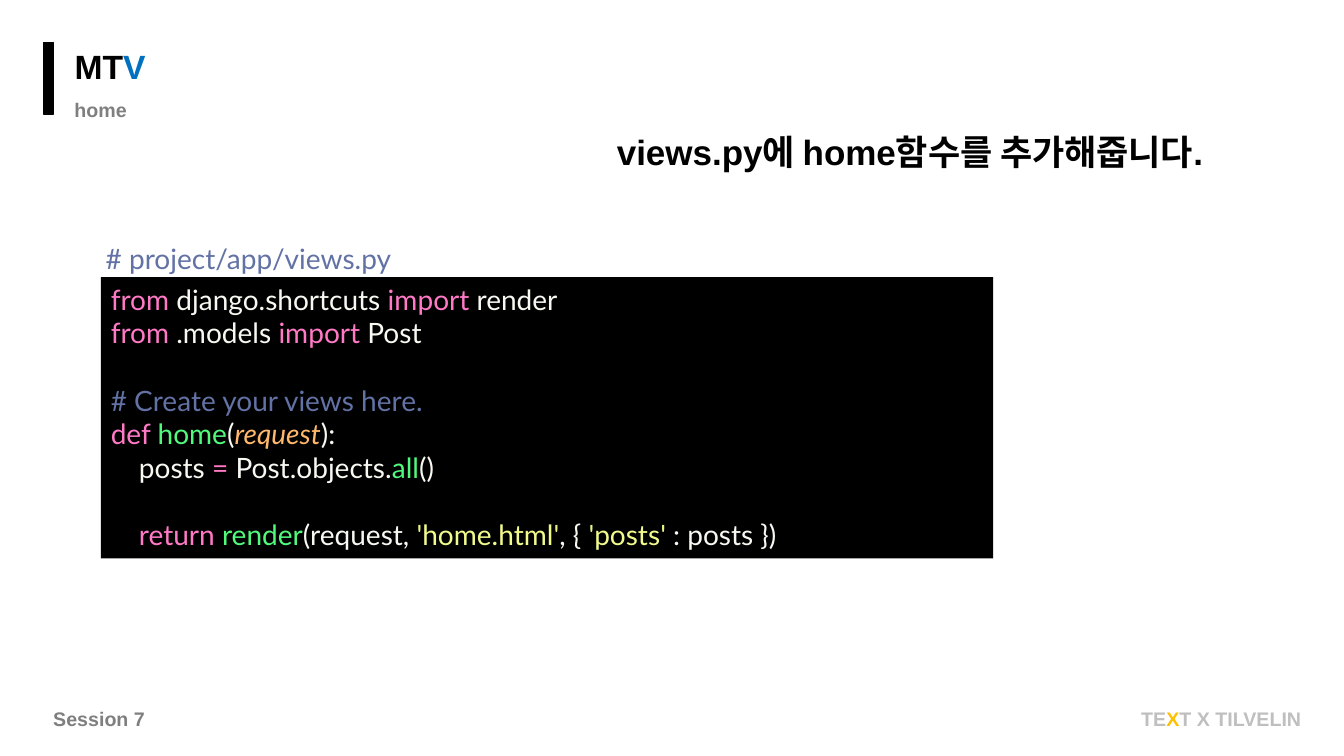
from pptx import Presentation
from pptx.dml.color import RGBColor
from pptx.enum.shapes import MSO_SHAPE
from pptx.enum.text import MSO_ANCHOR, MSO_AUTO_SIZE, PP_ALIGN
from pptx.util import Inches, Pt

COLORS = {
    "black": "000000", "blue": "0070C0", "gray": "7F7F7F", "silver": "BFBFBF",
    "gold": "FFC000", "keyword": "FF79C6", "plain": "F8F8F2", "comment": "6272A4",
    "function": "50FA7B", "argument": "FFB86C", "quote": "E9F284", "string": "F1FA8C",
}

TITLE = [("MT", "black"), ("V", "blue")]
LABELS = [
    ((0.64, 0.92, 1.43, 0.34), 14, "Arial", [("home", "gray")]),
    ((0.43, 6.96, 1.14, 0.34), 14, "Arial", [("Session 7", "gray")]),
    ((11.22, 6.96, 1.88, 0.34), 14, "Arial",
     [("TE", "silver"), ("X", "gold"), ("T X TILVELIN", "silver")]),
    ((0.95, 2.35, 4.18, 0.44), 20, "Lato", [("# project/app/views.py", "comment")]),
    ((6.02, 1.25, 7.32, 0.52), 25, "Arial",
     [("views.py에 home함수를 추가해줍니다.", "black")]),
]
CODE = [
    (0, 0, [("from ", "keyword"), ("django.shortcuts ", "plain"),
            ("import", "keyword"), (" render", "plain")]),
    (0, 0, [("from", "keyword"), (" .models ", "plain"),
            ("import", "keyword"), (" Post", "plain")]),
    (0, 1, [("# Create your views here.", "comment")]),
    (0, 0, [("def ", "keyword"), ("home", "function"), ("(", "plain"),
            ("request", "argument"), ("):", "plain")]),
    (1, 0, [("posts ", "plain"), ("= ", "keyword"), ("Post.objects.", "plain"),
            ("all", "function"), ("()", "plain")]),
    (1, 1, [("return ", "keyword"), ("render", "function"), ("(request, ", "plain"),
            ("'", "quote"), ("home.html", "string"), ("'", "quote"), (", { ", "plain"),
            ("'", "quote"), ("posts", "string"), ("'", "quote"), (" : posts })", "plain")]),
]
CODE_INDENT = Inches(0.28)
CODE_LINE = Pt(24)


def color(name):
    return RGBColor.from_string(COLORS[name])


def write(paragraph, parts, size, font):
    paragraph.alignment = PP_ALIGN.LEFT
    for words, tint in parts:
        run = paragraph.add_run()
        run.text = words
        run.font.size = Pt(size)
        run.font.name = font
        run.font.bold = font == "Arial"
        run.font.italic = tint == "argument"
        run.font.color.rgb = color(tint)


def prepare(frame):
    frame.word_wrap = True
    frame.auto_size = MSO_AUTO_SIZE.NONE
    frame.vertical_anchor = MSO_ANCHOR.TOP


def add_block(box):
    block = slide.shapes.add_shape(MSO_SHAPE.RECTANGLE, *map(Inches, box))
    block.shadow.inherit = False
    block.fill.solid()
    block.fill.fore_color.rgb = color("black")
    block.line.color.rgb = color("black")
    block.line.width = Pt(1)
    return block


deck = Presentation()
deck.slide_width, deck.slide_height = Inches(13.33), Inches(7.5)
slide = deck.slides.add_slide(deck.slide_layouts[5])

title = slide.shapes.title
title.left, title.top, title.width, title.height = map(Inches, (0.64, 0.41, 2.35, 0.5))
prepare(title.text_frame)
write(title.text_frame.paragraphs[0], TITLE, 24, "Arial")

add_block((0.43, 0.42, 0.1, 0.71))

code_block = add_block((1, 2.75, 8.85, 2.79))
code_block.line.fill.background()
code_frame = code_block.text_frame
prepare(code_frame)
for number, (level, gap, parts) in enumerate(CODE):
    code_line = code_frame.add_paragraph() if number else code_frame.paragraphs[0]
    write(code_line, parts, 20, "Lato")
    code_line.space_before = CODE_LINE * gap
    code_line._p.get_or_add_pPr().set("marL", str(CODE_INDENT * level))

for box, size, font, parts in LABELS:
    label = slide.shapes.add_textbox(*map(Inches, box))
    prepare(label.text_frame)
    write(label.text_frame.paragraphs[0], parts, size, font)

deck.save("out.pptx")
